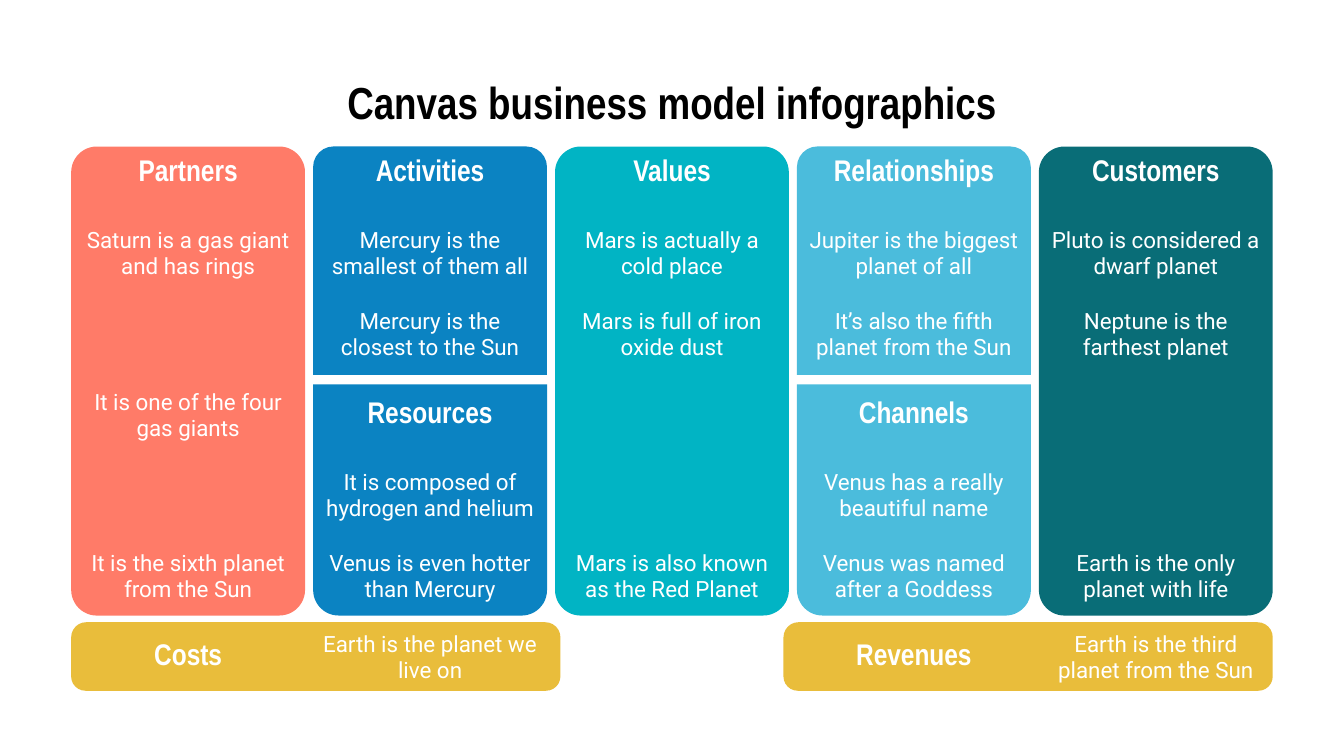
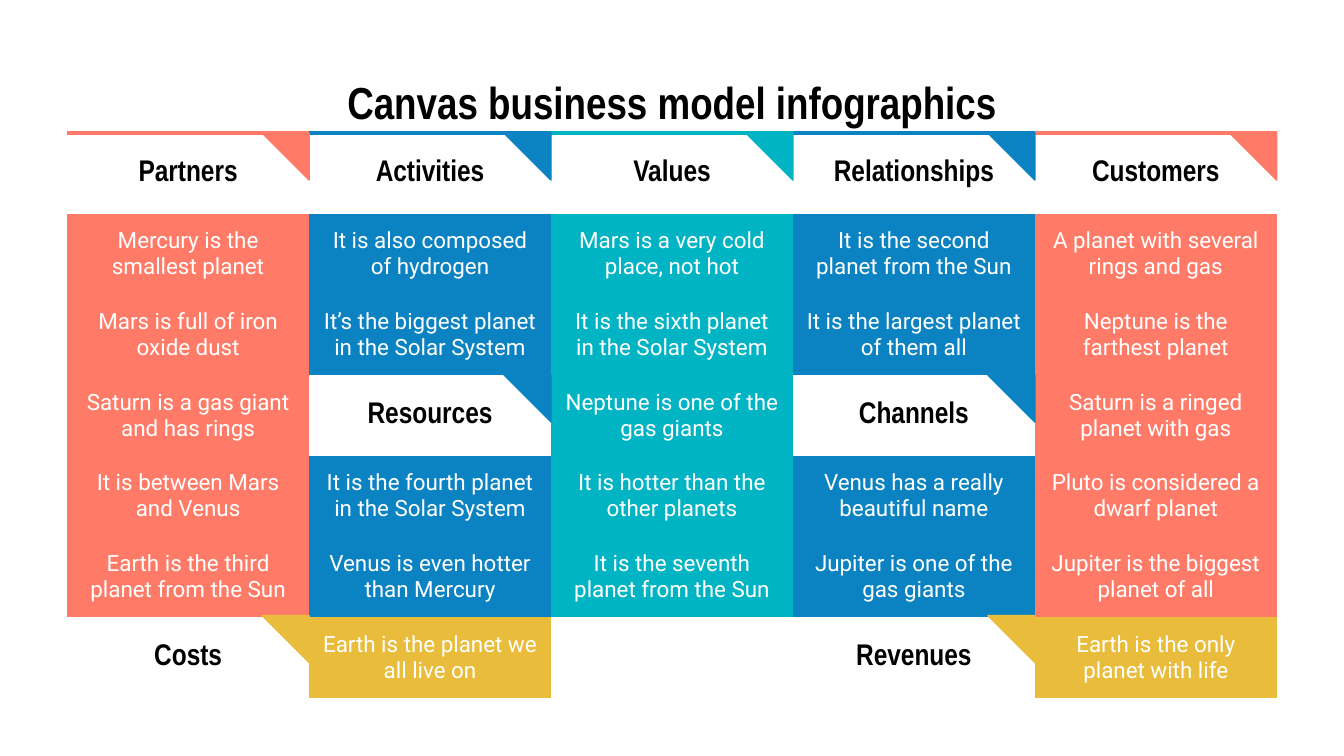
from lxml import etree
from pptx import Presentation
from pptx import util as u
from pptx.dml.color import RGBColor
from pptx.enum import shapes, text
from pptx.oxml.ns import qn

CORAL, BLUE, TEAL, SKY = "FF7B68", "0B83C2", "01B4C4", "4BBCDC"
PINE, GOLD, WHITE, BLACK = "096D77", "E9BD3B", "FFFFFF", "000000"
HEAD_FONT, BODY_FONT = "Arial Narrow", "Roboto"
TITLE = "Canvas business model infographics"
HEADINGS = {"Partners", "Activities", "Values", "Relationships", "Customers",
            "Resources", "Channels", "Costs", "Revenues"}

LEFT, TOP, COLUMN = 0.5, 0.99, 1.8
ROWS = [0.6, 0.47, 0.48, 0.48, 0.48, 0.47, 0.5]
FRAME = 3.28
NO_GRID = "{2D5ABB26-0587-4C30-8999-92F81FD0307C}"
PANEL = shapes.MSO_SHAPE.ROUND_2_SAME_RECTANGLE
TRIANGLE = shapes.MSO_SHAPE.RIGHT_TRIANGLE

PLANETS = [
    ["Partners", "Activities", "Values", "Relationships", "Customers"],
    ["Saturn is a gas giant and has rings", "Mercury is the smallest of them all",
     "Mars is actually a cold place", "Jupiter is the biggest planet of all",
     "Pluto is considered a dwarf planet"],
    ["", "Mercury is the closest to the Sun", "Mars is full of iron oxide dust",
     "It’s also the fifth planet from the Sun", "Neptune is the farthest planet"],
    ["It is one of the four gas giants", "Resources", "", "Channels", ""],
    ["", "It is composed of hydrogen and helium", "",
     "Venus has a really beautiful name", ""],
    ["It is the sixth planet from the Sun", "Venus is even hotter than Mercury",
     "Mars is also known as the Red Planet", "Venus was named after a Goddess",
     "Earth is the only planet with life"],
    ["Costs", "Earth is the planet we live on", "", "Revenues",
     "Earth is the third planet from the Sun"],
]
GRID = [
    PLANETS[0],
    ["Mercury is the smallest planet", "It is also composed of hydrogen",
     "Mars is a very cold place, not hot", "It is the second planet from the Sun",
     "A planet with several rings and gas"],
    ["Mars is full of iron oxide dust", "It’s the biggest planet in the Solar System",
     "It is the sixth planet in the Solar System",
     "It is the largest planet of them all", "Neptune is the farthest planet"],
    ["Saturn is a gas giant and has rings", "Resources",
     "Neptune is one of the gas giants", "Channels",
     "Saturn is a ringed planet with gas"],
    ["It is between Mars and Venus", "It is the fourth planet in the Solar System",
     "It is hotter than the other planets", "Venus has a really beautiful name",
     "Pluto is considered a dwarf planet"],
    ["Earth is the third planet from the Sun", "Venus is even hotter than Mercury",
     "It is the seventh planet from the Sun", "Jupiter is one of the gas giants",
     "Jupiter is the biggest planet of all"],
    ["Costs", "Earth is the planet we all live on", "", "Revenues",
     "Earth is the only planet with life"],
]


def color(value):
    return RGBColor.from_string(value)


def write(frame, words, size=12, font=BODY_FONT, ink=WHITE, bold=False):
    frame.word_wrap = True
    para = frame.paragraphs[0]
    para.alignment = text.PP_ALIGN.CENTER
    span = para.add_run()
    span.text = words
    span.font.size = u.Pt(size)
    span.font.name = font
    span.font.bold = bold
    span.font.color.rgb = color(ink)


class Canvas:
    """Holds the deck, its style and the current slide."""

    def __init__(self):
        self.deck = Presentation()
        self.deck.slide_width = u.Inches(10)
        self.deck.slide_height = u.Inches(10) * 9 // 16

    def page(self, title):
        self.slide = self.deck.slides.add_slide(self.deck.slide_layouts[6])
        box = self.slide.shapes.add_textbox(
            u.Inches(0.5), u.Inches(0.44), u.Inches(9), u.Inches(0.63))
        frame = box.text_frame
        frame.margin_left = frame.margin_right = u.Inches(0.1)
        frame.margin_top = frame.margin_bottom = u.Inches(0.1)
        frame.vertical_anchor = text.MSO_ANCHOR.MIDDLE
        write(frame, title, size=24, font=HEAD_FONT, ink=BLACK, bold=True)

    def shape(self, kind, left, top, width, height, fill, corners=(), turn=0, line=0):
        shape = self.slide.shapes.add_shape(
            kind, u.Inches(left), u.Inches(top), u.Inches(width), u.Inches(height))
        shape.shadow.inherit = False
        shape.rotation = turn
        for index, corner in enumerate(corners):
            shape.adjustments[index] = corner
        shape.fill.solid()
        shape.fill.fore_color.rgb = color(fill)
        if line:
            shape.line.color.rgb = color(fill)
            shape.line.width = u.Pt(line)
        else:
            shape.line.fill.background()

    def fold(self, column, top, fill):
        """Triangle in the top right corner of a column."""
        side = 0.35
        left = LEFT + COLUMN * (column + 1) - side
        self.shape(TRIANGLE, left, top, side, side, fill, turn=180, line=0.75)

    def top_border(self, cell, fill):
        line = etree.Element(qn("a:lnT"), w=str(u.Pt(2.25)))
        solid = etree.SubElement(line, qn("a:solidFill"))
        etree.SubElement(solid, qn("a:srgbClr"), val=fill)
        cell._tc.get_or_add_tcPr().insert(0, line)

    def table(self, rows, heading_ink, fills=None):
        holder = self.slide.shapes.add_table(
            len(rows), len(rows[0]), u.Inches(LEFT), u.Inches(TOP),
            u.Inches(FRAME), u.Inches(FRAME))
        table = holder.table
        table.first_row = table.horz_banding = False
        table._tbl.tblPr.find(qn("a:tableStyleId")).text = NO_GRID
        for column in table.columns:
            column.width = u.Inches(COLUMN)
        for r, (height, row) in enumerate(zip(ROWS, rows)):
            table.rows[r].height = u.Inches(height)
            for c, words in enumerate(row):
                cell = table.cell(r, c)
                cell.margin_left = cell.margin_right = u.Inches(0.1)
                cell.margin_top = cell.margin_bottom = u.Inches(0.1)
                cell.vertical_anchor = text.MSO_ANCHOR.MIDDLE
                heading = words in HEADINGS
                if fills and words and not heading:
                    cell.fill.solid()
                    last = r == len(rows) - 1
                    cell.fill.fore_color.rgb = color(GOLD if last else fills[c])
                else:
                    cell.fill.background()
                if fills and r == 0:
                    self.top_border(cell, fills[c])
                if heading:
                    write(cell.text_frame, words, size=16, font=HEAD_FONT,
                          ink=heading_ink, bold=True)
                elif words:
                    write(cell.text_frame, words)
        # Rows grow with their text, so the frame keeps its small size
        holder.width = holder.height = u.Inches(FRAME)


def rounded_slide(canvas):
    canvas.page(TITLE)
    # Bars for costs and revenues
    for left in (0.53, 5.83):
        canvas.shape(PANEL, left, 4.63, 3.64, 0.51, GOLD, (0.22, 0.21))
    # Column panels; the second and fourth are split in two
    for index, fill in enumerate((CORAL, BLUE, TEAL, SKY, PINE)):
        left = 0.53 + COLUMN * index
        if index % 2:
            canvas.shape(PANEL, left, 2.86, 1.74, 1.72, fill, (0.11, 0), turn=180)
            canvas.shape(PANEL, left, 1.09, 1.74, 1.7, fill, (0.09, 0))
        else:
            canvas.shape(PANEL, left, 1.09, 1.74, 3.49, fill, (0.11, 0.11))
    canvas.table(PLANETS, WHITE)


def folded_slide(canvas):
    fills = (CORAL, BLUE, TEAL, BLUE, CORAL)
    canvas.page(TITLE)
    canvas.table(GRID, BLACK, fills)
    # Folded corners of the heading cells
    for column, fill in enumerate(fills):
        canvas.fold(column, TOP, fill)
    for column in (1, 3):
        canvas.fold(column, 2.79, BLUE)
    for column in (0, 3):
        canvas.fold(column, 4.58, GOLD)


def main():
    canvas = Canvas()
    rounded_slide(canvas)
    folded_slide(canvas)
    canvas.deck.save("out.pptx")


if __name__ == "__main__":
    main()
